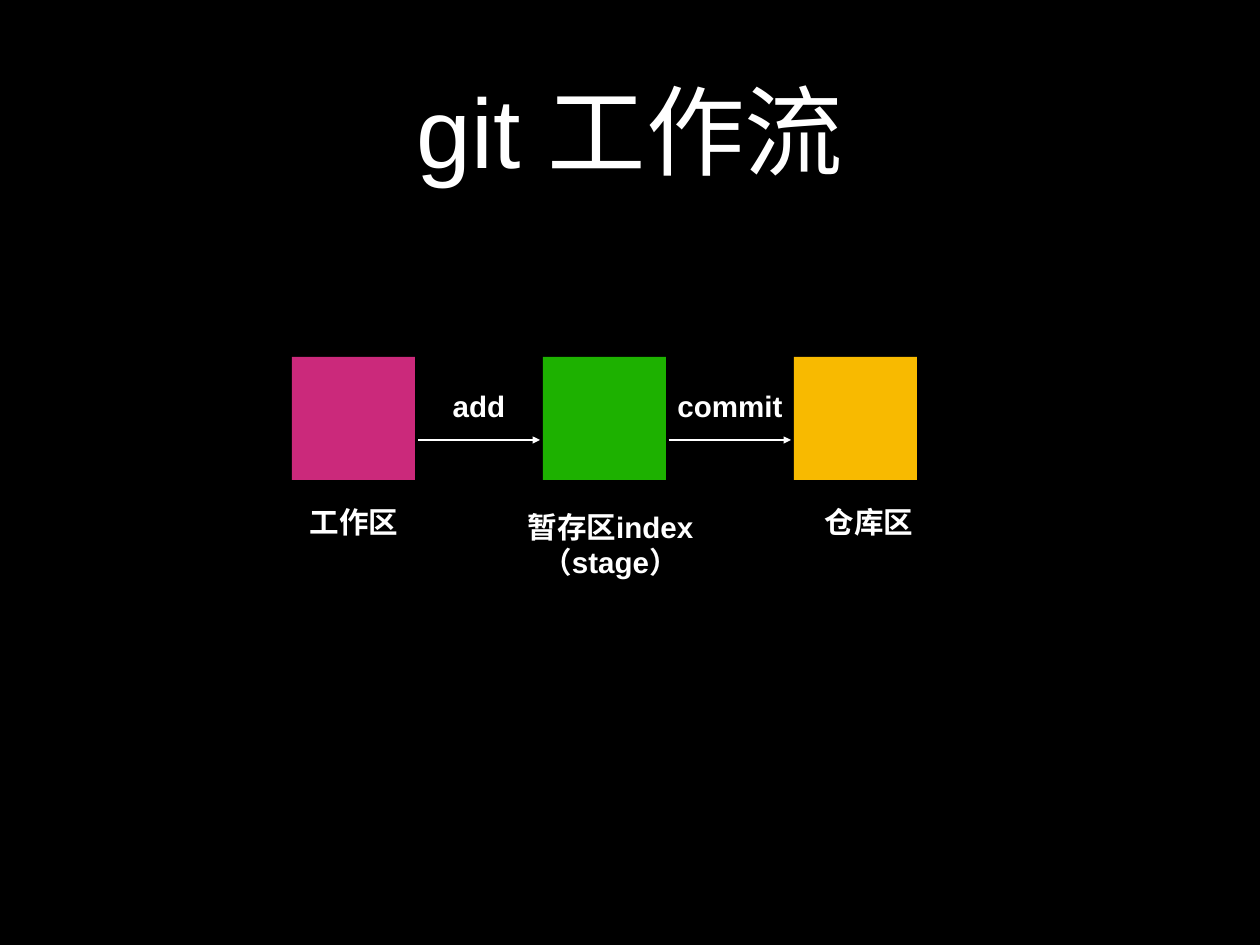
import pptx
import pptx.util
import pptx.dml.color
import pptx.enum.shapes
import pptx.enum.text
import pptx.oxml.ns
from dataclasses import dataclass
from lxml import etree

TITLE = "git 工作流"
AREAS = [
    {"label": "工作区", "fill": "CB297B", "box": (304, 496, 100, 51), "wrap": False},
    {"label": "暂存区index（stage）", "fill": "1DB100", "box": (509, 498, 203, 92), "wrap": True},
    {"label": "仓库区", "fill": "F8BA00", "box": (819, 496, 100, 51), "wrap": False},
]
COMMANDS = [("add", 64), ("commit", 118)]

PX = 10321
SLIDE_W, SLIDE_H = 1260, 945
TITLE_BOX = (92, 25, 1076, 209)
LEFT, TOP, SIDE, STEP = 292, 357, 123, 251
ARROW_Y, ARROW_GAP = 440, 3
COMMAND_TOP, COMMAND_H = 384, 44
INSET = 5


@dataclass(frozen=True)
class Theme:
    background: str = "000000"
    ink: str = "FFFFFF"
    font: str = "Arial"
    title: int = 80
    label: int = 24
    line: int = 2


theme = Theme()


def px(*values):
    return [round(v * PX) for v in values]


def rgb(value):
    return pptx.dml.color.RGBColor.from_string(value)


def add_text(s, text, box, size=theme.label, bold=True, wrap=False):
    tf = s.shapes.add_textbox(*px(*box)).text_frame
    tf.word_wrap = wrap
    tf.vertical_anchor = pptx.enum.text.MSO_ANCHOR.MIDDLE
    tf.margin_left = tf.margin_right = tf.margin_top = tf.margin_bottom = INSET * PX
    p = tf.paragraphs[0]
    p.alignment = pptx.enum.text.PP_ALIGN.CENTER
    r = p.add_run()
    r.text = text
    r.font.name = theme.font
    r.font.size = pptx.util.Pt(size)
    r.font.bold = bold
    r.font.color.rgb = rgb(theme.ink)


def add_square(s, x, fill):
    sp = s.shapes.add_shape(
        pptx.enum.shapes.MSO_SHAPE.RECTANGLE, *px(x, TOP, SIDE, SIDE))
    sp.shadow.inherit = False
    sp.fill.solid()
    sp.fill.fore_color.rgb = rgb(fill)
    sp.line.fill.background()


def add_arrow(s, x1, x2):
    c = s.shapes.add_connector(
        pptx.enum.shapes.MSO_CONNECTOR.STRAIGHT, *px(x1, ARROW_Y, x2, ARROW_Y))
    c.line.color.rgb = rgb(theme.ink)
    c.line.width = pptx.util.Pt(theme.line)
    qn = pptx.oxml.ns.qn
    etree.SubElement(c.line._get_or_add_ln(), qn("a:tailEnd"), type="triangle")
    etree.SubElement(c._element.spPr, qn("a:effectLst"))


def main():
    prs = pptx.Presentation()
    prs.slide_width, prs.slide_height = px(SLIDE_W, SLIDE_H)
    s = prs.slides.add_slide(prs.slide_layouts[6])
    s.background.fill.solid()
    s.background.fill.fore_color.rgb = rgb(theme.background)

    add_text(s, TITLE, TITLE_BOX, size=theme.title, bold=False, wrap=True)
    for i, area in enumerate(AREAS):
        add_square(s, LEFT + i * STEP, area["fill"])
        add_text(s, area["label"], area["box"], wrap=area["wrap"])
    for i, (command, width) in enumerate(COMMANDS):
        start = LEFT + i * STEP + SIDE
        end = LEFT + (i + 1) * STEP
        add_arrow(s, start + ARROW_GAP, end - ARROW_GAP)
        x = (start + end - width) / 2
        add_text(s, command, (x, COMMAND_TOP, width, COMMAND_H))
    prs.save("out.pptx")


if __name__ == "__main__":
    main()
